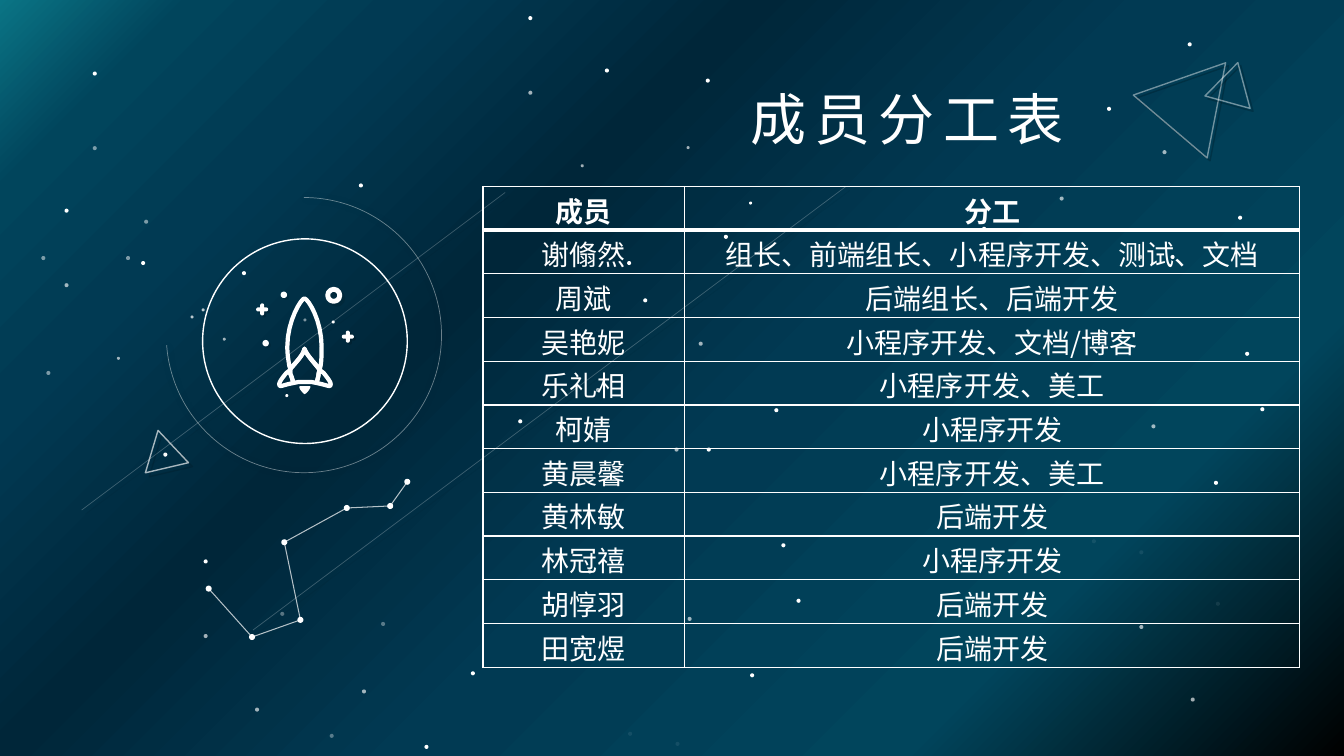
import math

import pptx
import pptx.dml.color
import pptx.enum.shapes
import pptx.enum.text
import pptx.oxml
import pptx.oxml.ns
import pptx.util
from lxml import etree
from pptx.util import Inches

SHAPE = pptx.enum.shapes.MSO_SHAPE
ALIGN = pptx.enum.text.PP_ALIGN
ANCHOR = pptx.enum.text.MSO_ANCHOR
qn = pptx.oxml.ns.qn
FONT = "Noto Sans CJK SC"
COLORS = {"white": "FFFFFF", "shadow": "000000"}
SKY = [(0, "0A7485"), (9, "01455C"), (20, "013A53"), (36, "002639"),
       (55, "013A53"), (79, "01455C"), (100, "000000")]
STARS = {
    (0.04, 100): [
        (5.24, 0.16), (6, 0.68), (7, 0.78), (6.22, 2.59), (0.92, 0.71), (3.56, 1.82),
        (2.02, 5.55), (4.21, 7.39), (4.67, 6.66), (12.35, 3.49), (12.28, 2.14),
        (9.74, 2.25), (10.98, 1.06), (11.78, 0.42), (11.61, 2.53), (12.04, 4.77),
        (12.5, 4.04), (0.64, 2.07), (1.4, 2.59), (2.4, 2.69), (1.62, 4.49),
        (7.75, 5.39), (7.68, 4.05), (5.14, 4.16), (6.38, 2.96), (7.18, 2.33),
        (7.01, 4.44), (7.44, 6.68), (7.9, 5.94)],
    (0.04, 64): [
        (5.24, 0.9), (2.02, 6.29), (2.53, 7.02), (3.59, 6.84), (10.43, 3.74),
        (11.3, 6.2), (11.81, 6.92), (10.51, 1.95), (11.29, 2.53), (11.53, 1.49),
        (11.42, 4.21), (0.64, 2.81), (5.83, 5.65), (5.91, 3.85), (6.69, 4.44),
        (6.93, 3.39), (6.82, 6.12)],
    (0.04, 49): [(0.92, 1.45), (1.43, 2.18), (0.46, 3.68), (0.41, 2.54), (1.25, 2.54)],
    (0.04, 35): [(2.78, 6.07), (3.78, 6.17), (3.27, 7.28)],
    (0.04, 8): [(11.3, 5.46), (12.06, 5.97), (10.83, 5.35), (6.7, 7.36), (6.23, 7.26)],
    (0.03, 100): [(7.43, 2), (7.89, 1.27), (2.83, 3.91), (3.29, 3.18)],
    (0.03, 73): [(1.89, 3.13), (2, 3.06)],
    (0.03, 64): [(5.76, 1.63), (6.81, 1.45), (1.16, 3.54), (2.21, 3.35)],
    (0.03, 49): [(3.01, 3.16)],
}
ROCKET = [
    [(3.02, 3.46), (3.04, 3.52, 3.11, 3.59, 3.17, 3.66), (3.16, 3.71),
     (3.16, 3.73, 3.15, 3.76, 3.14, 3.8), (3.09, 3.79),
     (3.05, 3.79, 3, 3.79, 2.96, 3.79), (2.91, 3.8),
     (2.9, 3.76, 2.89, 3.73, 2.88, 3.71), (2.88, 3.66),
     (2.94, 3.59, 3.01, 3.52, 3.02, 3.46)],
    [(3.02, 2.96), (3.06, 2.97, 3.19, 3.18, 3.19, 3.44),
     (3.19, 3.51, 3.19, 3.57, 3.18, 3.63), (3.17, 3.67),
     (3.11, 3.59, 3.04, 3.52, 3.02, 3.46), (3.01, 3.52, 2.94, 3.59, 2.88, 3.66),
     (2.87, 3.63), (2.86, 3.57, 2.85, 3.51, 2.85, 3.44),
     (2.85, 3.18, 2.99, 2.96, 3.02, 2.96)],
    [(2.88, 3.67), (2.88, 3.71), (2.89, 3.73, 2.9, 3.76, 2.91, 3.8),
     (2.8, 3.82, 2.77, 3.85, 2.77, 3.81), (2.77, 3.79, 2.8, 3.75, 2.84, 3.7)],
    [(3.17, 3.67), (3.21, 3.7), (3.25, 3.75, 3.28, 3.79, 3.28, 3.81),
     (3.28, 3.85, 3.25, 3.82, 3.14, 3.8), (3.15, 3.76, 3.16, 3.73, 3.16, 3.71)],
]
NOZZLE = [(3.07, 3.83), (3.1, 3.83, 3.04, 3.91, 3.02, 3.91),
          (3.01, 3.91, 2.94, 3.83, 2.98, 3.83)]
CONSTELLATION = [(2.07, 5.84), (2.5, 6.32), (2.98, 6.15), (2.82, 5.38),
                 (3.44, 5.04), (3.87, 5.02), (4.04, 4.78)]
MEMBERS = [
    ("成员", "分工"), ("谢翛然", "组长、前端组长、小程序开发、测试、文档"),
    ("周斌", "后端组长、后端开发"), ("吴艳妮", "小程序开发、文档/博客"),
    ("乐礼相", "小程序开发、美工"), ("柯婧", "小程序开发"), ("黄晨馨", "小程序开发、美工"),
    ("黄林敏", "后端开发"), ("林冠禧", "小程序开发"), ("胡惇羽", "后端开发"),
    ("田宽煜", "后端开发"),
]


def rgb(name):
    return pptx.dml.color.RGBColor.from_string(COLORS[name])


def xml(text):
    return pptx.oxml.parse_xml(text.replace(">", f" {pptx.oxml.ns.nsdecls('a')}>", 1))


def effects(shadow=None):
    if not shadow:
        return xml("<a:effectLst></a:effectLst>")
    alpha, blur, dist, angle = shadow
    return xml(f'<a:effectLst><a:outerShdw blurRad="{blur * 12700}" dist="{dist * 12700}" '
               f'dir="{angle * 60000}"><a:srgbClr val="{COLORS["shadow"]}">'
               f'<a:alpha val="{alpha * 1000}"/></a:srgbClr></a:outerShdw></a:effectLst>')


def paint(sp, fill=False, width=0, alpha=100, shadow=None):
    spPr = sp._element.spPr
    if fill:
        sp.fill.solid()
        sp.fill.fore_color.rgb = rgb("white")
    elif hasattr(sp, "fill"):
        sp.fill.background()
    if width:
        sp.line.color.rgb = rgb("white")
        sp.line.width = pptx.util.Pt(width)
    else:
        sp.line.fill.background()
    if alpha < 100:
        for clr in spPr.iter(qn("a:srgbClr")):
            etree.SubElement(clr, qn("a:alpha"), val=str(alpha * 1000))
    spPr.append(effects(shadow))


def add_shape(s, kind, x, y, w, h, rotation=0, **look):
    sp = s.shapes.add_shape(kind, Inches(x), Inches(y), Inches(w), Inches(h))
    sp.rotation = rotation
    paint(sp, **look)
    return sp


def add_dot(s, x, y, d, **look):
    add_shape(s, SHAPE.OVAL, x, y, d, d, **look)


def add_line(s, x1, y1, x2, y2, **look):
    paint(s.shapes.add_connector(pptx.enum.shapes.MSO_CONNECTOR.STRAIGHT, Inches(x1),
                                 Inches(y1), Inches(x2), Inches(y2)), **look)


def flatten(segments, steps=8):
    points = [segments[0]]
    for seg in segments[1:]:
        if len(seg) == 2:
            points.append(seg)
            continue
        a, b, c, d = points[-1], seg[:2], seg[2:4], seg[4:]
        for t in (i / steps for i in range(1, steps + 1)):
            u = 1 - t
            points.append(tuple(u**3 * a[k] + 3 * u * u * t * b[k] + 3 * u * t * t * c[k]
                                + t**3 * d[k] for k in (0, 1)))
    return points


def add_outline(s, segments, close=True, **look):
    points = [(Inches(x), Inches(y)) for x, y in flatten(segments)]
    builder = s.shapes.build_freeform(*points[0], scale=1.0)
    builder.add_line_segments(points[1:], close=close)
    paint(builder.convert_to_shape(), **look)


def add_sparkle(s, cx, cy, arm=0.04, r=0.02):
    points = []
    for turn in range(0, 360, 90):
        for step in range(-90, 91, 30):
            tip, a = math.radians(turn), math.radians(turn + step)
            points.append((cx + arm * math.cos(tip) + r * math.cos(a),
                           cy + arm * math.sin(tip) + r * math.sin(a)))
        corner = math.radians(turn + 45)
        points.append((cx + r * math.sqrt(2) * math.cos(corner),
                       cy + r * math.sqrt(2) * math.sin(corner)))
    add_outline(s, points, fill=True, shadow=(16, 0, 2, 45))


def set_font(p, size, bold=False):
    p.font.size = pptx.util.Pt(size)
    p.font.bold = bold
    p.font.color.rgb = rgb("white")
    p.font.name = FONT
    p.font._element.append(xml(f'<a:ea typeface="{FONT}"></a:ea>'))


def add_title(s, text):
    tf = s.shapes.add_textbox(Inches(6.65), Inches(0.79), Inches(4), Inches(0.77)).text_frame
    tf.word_wrap = True
    tf.vertical_anchor = ANCHOR.MIDDLE
    p = tf.paragraphs[0]
    p.text = text
    p.alignment = ALIGN.RIGHT
    set_font(p, 40)
    rPr = p.font._element
    rPr.set("spc", "600")
    rPr.find(qn("a:solidFill")).addnext(effects((40, 3, 3, 45)))


def set_borders(cell, **widths):
    tcPr = cell._tc.get_or_add_tcPr()
    for side in "LRTB":
        tcPr.append(xml(f'<a:ln{side} w="{widths.get(side, 1) * 12700}"><a:solidFill>'
                        f'<a:srgbClr val="{COLORS["white"]}"/></a:solidFill></a:ln{side}>'))


def add_member_table(s):
    table = s.shapes.add_table(len(MEMBERS), 2, Inches(4.79), Inches(1.85),
                               Inches(8.1), Inches(4.77)).table
    table.first_row = table.horz_banding = False
    table.columns[0].width, table.columns[1].width = Inches(2), Inches(6.1)
    for i, row in enumerate(MEMBERS):
        for j, text in enumerate(row):
            cell = table.cell(i, j)
            cell.margin_top, cell.margin_bottom = Inches(0.03), 0
            cell.vertical_anchor = ANCHOR.BOTTOM
            set_borders(cell, T=3 if i == 1 else 1, B=3 if i == 0 else 1)
            cell.fill.background()
            p = cell.text_frame.paragraphs[0]
            p.text = text
            p.alignment = ALIGN.CENTER
            set_font(p, 20, bold=i == 0)


def set_sky(s):
    stops = "".join(f'<a:gs pos="{pos * 1000}"><a:srgbClr val="{c}"/></a:gs>' for pos, c in SKY)
    s.background.fill.solid()
    bgPr = s._element.cSld.bg.bgPr
    bgPr.replace(bgPr.find(qn("a:solidFill")), xml(
        f'<a:gradFill><a:gsLst>{stops}</a:gsLst><a:lin ang="2700000" scaled="0"/></a:gradFill>'))


def add_rocket_badge(s):
    add_dot(s, 2.01, 2.37, 2.03, width=1)
    for part in ROCKET:
        add_outline(s, part, width=3)
    add_outline(s, NOZZLE, fill=True)
    add_sparkle(s, 3.45, 3.34)
    add_sparkle(s, 2.6, 3.07)
    for x, y in [(2.61, 3.38), (2.79, 2.9)]:
        add_dot(s, x, y, 0.05, fill=True, width=1, shadow=(11, 0, 2, 45))
    add_dot(s, 3.25, 2.87, 0.12, width=3.5, shadow=(11, 0, 3, 45))
    arc = add_shape(s, SHAPE.ARC, 1.65, 1.96, 2.73, 2.73, width=0.5, alpha=41,
                    shadow=(40, 5, 0, 0))
    arc.adjustments[0], arc.adjustments[1] = 162, 105.5


def main():
    prs = pptx.Presentation()
    prs.slide_width, prs.slide_height = Inches(13.33), Inches(7.5)
    s = prs.slides.add_slide(prs.slide_layouts[6])
    set_sky(s)
    for (d, alpha), places in STARS.items():
        for x, y in places:
            add_dot(s, x, y, d, fill=True, alpha=alpha)
    add_rocket_badge(s)
    for ends in [(8.39, 1.85, 2.51, 6.25), (5.01, 1.91, 0.81, 5.06)]:
        add_line(s, *ends, width=0.5, alpha=23, shadow=(20, 0, 4, 45))
    for box, alpha, shadow in [((1.36, 4.37, 0.44, 0.38, 226.7), 66, (20, 0, 4, 45)),
                               ((11.35, 0.76, 0.97, 0.83, 160.7), 43, (44, 0, 3, 45)),
                               ((11.91, 0.7, 0.47, 0.4, 255), 43, (44, 0, 3, 45))]:
        add_shape(s, SHAPE.ISOSCELES_TRIANGLE, *box, width=1, alpha=alpha, shadow=shadow)
    add_title(s, "成员分工表")
    add_outline(s, CONSTELLATION, close=False, width=0.75, alpha=71)
    for x, y in CONSTELLATION:
        add_dot(s, x - 0.03, y - 0.03, 0.06, fill=True)
    add_member_table(s)
    prs.save("out.pptx")


if __name__ == "__main__":
    main()
